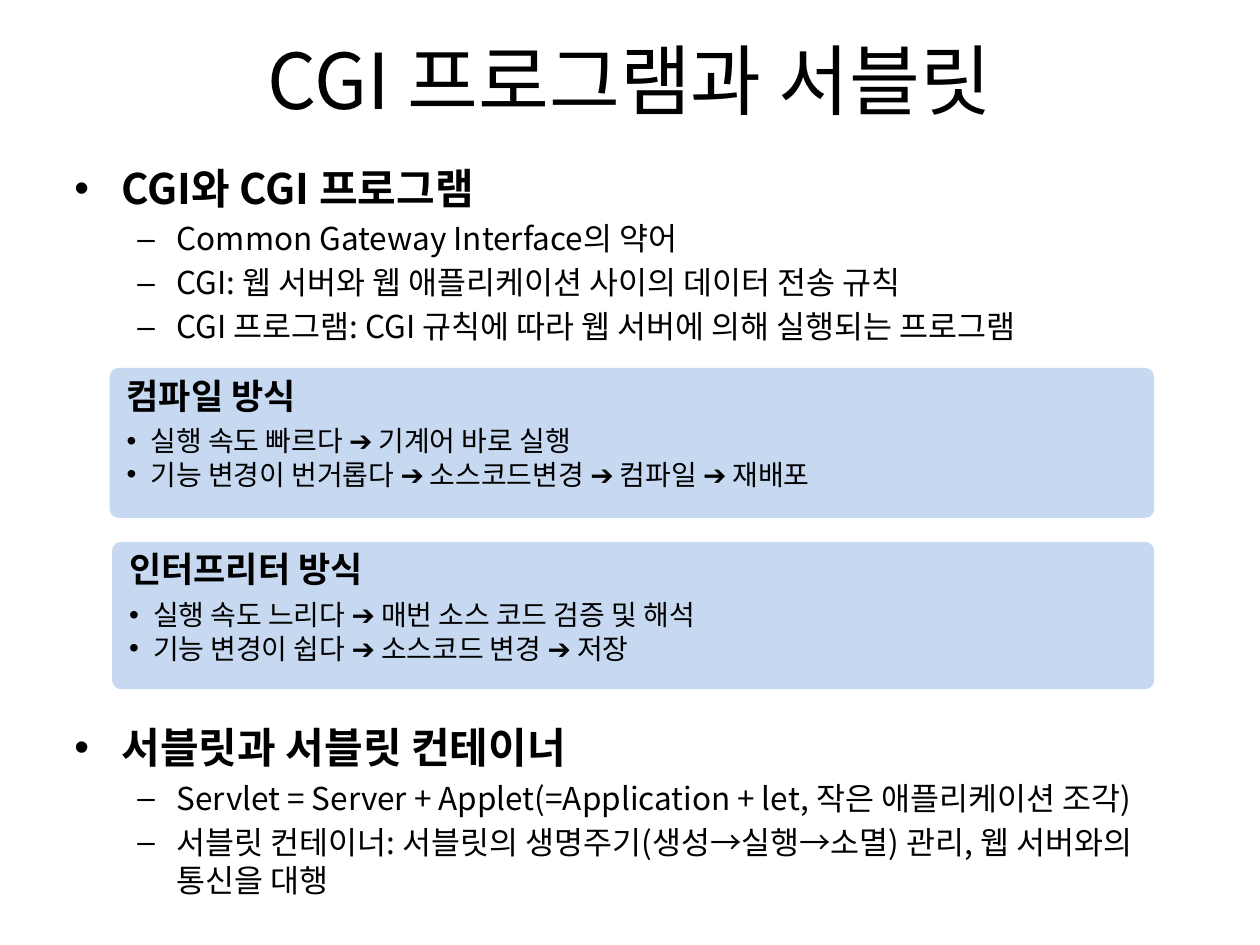
from lxml.etree import SubElement
from pptx import Presentation
from pptx.dml.color import RGBColor as RGB
from pptx.enum.shapes import MSO_SHAPE as SHAPE
from pptx.enum.text import MSO_ANCHOR as ANCHOR, MSO_AUTO_SIZE as AUTO, PP_ALIGN as ALIGN
from pptx.oxml.ns import qn
from pptx.util import Inches, Pt

COLORS = {"text": "000000", "panel": "C6D9F1"}
KOREAN = "Noto Sans CJK KR"

prs = Presentation()
prs.slide_width, prs.slide_height = Inches(10), Inches(7.5)
COL, ROW = prs.slide_width / 100, prs.slide_height / 75


def cells(left, top, width, height):
    """Turn a place on the 100 by 75 grid into lengths."""
    return [int(n * unit) for n, unit in zip((left, top, width, height), (COL, ROW) * 2)]


def style(p, size, bold=False, font=KOREAN):
    for r in p.runs:
        r.font.size, r.font.bold, r.font.name = Pt(size), bold, font
        r.font.color.rgb = RGB.from_string(COLORS["text"])
        SubElement(r.font._element, qn("a:ea"), typeface=KOREAN)


s = prs.slides.add_slide(prs.slide_layouts.get_by_name("Two Content"))
title, *bodies = s.placeholders

title.left, title.top, title.width, title.height = cells(5, 0, 90, 12.5)
title.text_frame.text = "CGI 프로그램과 서블릿"
title.text_frame.vertical_anchor = ANCHOR.MIDDLE
style(title.text_frame.paragraphs[0], 44)

# Top row, height and lines of each list; the first line is its heading
lists = [
    (12.4, 17.2, ["CGI와 CGI 프로그램",
                  "Common Gateway Interface의 약어",
                  "CGI: 웹 서버와 웹 애플리케이션 사이의 데이터 전송 규칙",
                  "CGI 프로그램: CGI 규칙에 따라 웹 서버에 의해 실행되는 프로그램"]),
    (56.8, 18.2, ["서블릿과 서블릿 컨테이너",
                  "Servlet = Server + Applet(=Application + let, 작은 애플리케이션 조각)",
                  "서블릿 컨테이너: 서블릿의 생명주기(생성→실행→소멸) 관리, 웹 서버와의 통신을 대행"]),
]
for body, (top, height, lines) in zip(bodies, lists):
    body.left, body.top, body.width, body.height = cells(4.9, top, 90, height)
    tf = body.text_frame
    tf.text = "\n".join(lines)
    tf.auto_size = AUTO.NONE
    for i, p in enumerate(tf.paragraphs):
        p.level = min(i, 1)
        style(p, 18 if i else 24, bold=not i)

# Left column, top row, width, height, heading and points of each panel
panels = [
    (8.7, 29.2, 82.9, 11.9, "컴파일 방식",
     ["실행 속도 빠르다 ➔ 기계어 바로 실행",
      "기능 변경이 번거롭다 ➔ 소스코드변경 ➔ 컴파일 ➔ 재배포"]),
    (8.9, 43, 82.7, 11.7, "인터프리터 방식",
     ["실행 속도 느리다 ➔ 매번 소스 코드 검증 및 해석",
      "기능 변경이 쉽다 ➔ 소스코드 변경 ➔ 저장"]),
]
for left, top, width, height, heading, points in panels:
    group = s.shapes.add_group_shape()
    sp = group.shapes.add_shape(SHAPE.ROUNDED_RECTANGLE, *cells(left, top, width, height))
    sp.adjustments[0] = 0.06
    sp.shadow.inherit = False
    sp.fill.solid()
    sp.fill.fore_color.rgb = RGB.from_string(COLORS["panel"])
    sp.line.fill.background()

    for offset, box_height, lines in ((0, 4.4, [heading]), (3.95, 6.4, points)):
        box = group.shapes.add_textbox(*cells(left + 0.15, top + offset, width - 0.3, box_height))
        tf = box.text_frame
        tf.word_wrap = True
        tf.margin_left = tf.margin_right = Inches(0.08)
        tf.text = "\n".join(lines)
        for p in tf.paragraphs:
            p.alignment = ALIGN.LEFT
            pPr = p._p.get_or_add_pPr()
            if lines is points:
                style(p, 16)
                pPr.set("marL", str(Inches(0.23)))
                pPr.set("indent", str(Inches(-0.19)))
                SubElement(pPr, qn("a:buFont"), typeface="Arial")
                SubElement(pPr, qn("a:buChar"), char="•")
            else:
                style(p, 20, bold=True, font="Arial")
                pPr.set("marL", str(Inches(0.04)))

prs.save("out.pptx")
